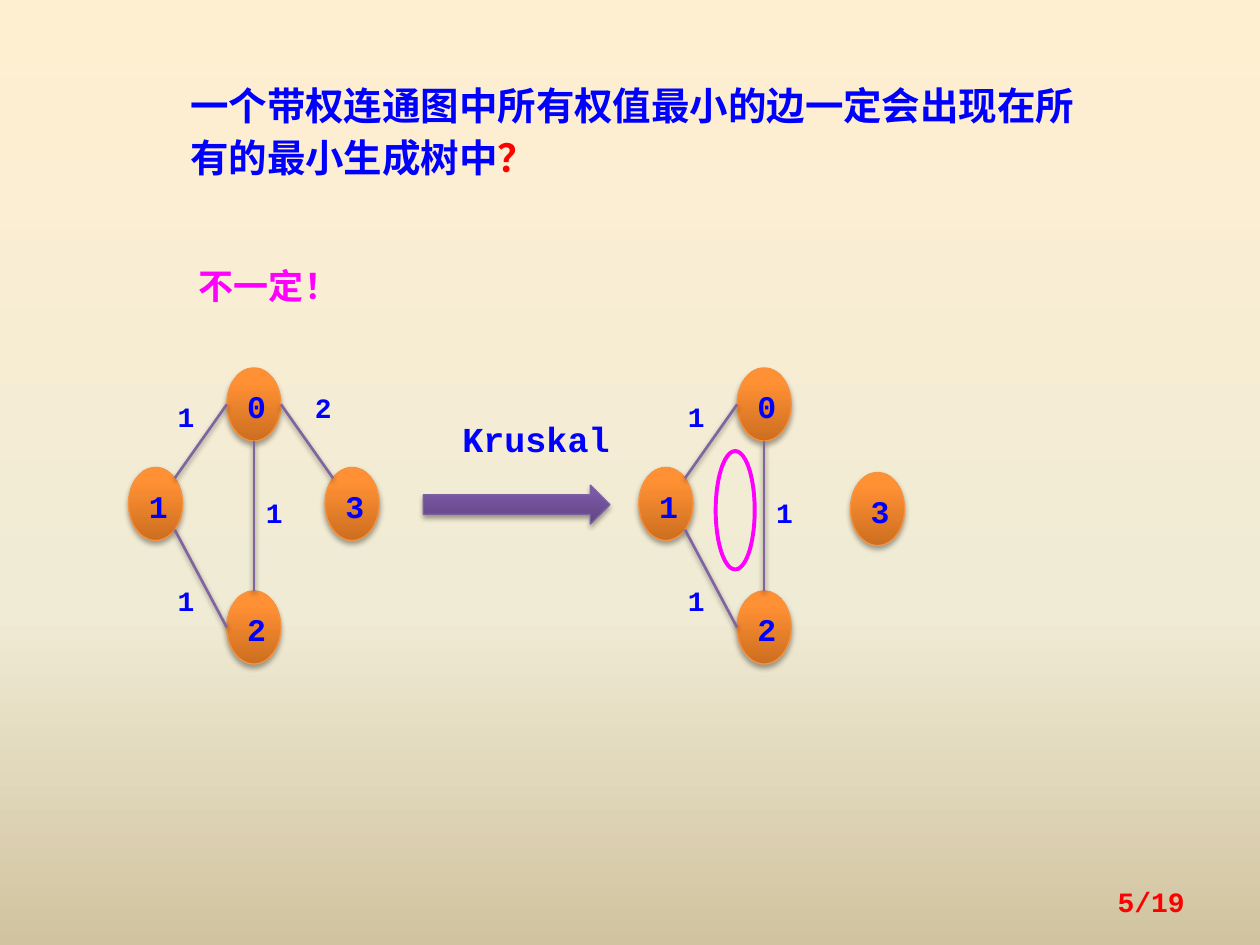
"""Build a slide showing that a minimum spanning tree may omit a minimum-weight edge."""
import copy
import math

import pptx
import pptx.dml.color
import pptx.enum.shapes
import pptx.enum.text
import pptx.oxml
import pptx.oxml.ns
import pptx.util

RGBColor = pptx.dml.color.RGBColor
Inches = pptx.util.Inches
Pt = pptx.util.Pt
MSO_SHAPE = pptx.enum.shapes.MSO_SHAPE
PP_ALIGN = pptx.enum.text.PP_ALIGN
MSO_ANCHOR = pptx.enum.text.MSO_ANCHOR

BLUE = RGBColor(0x00, 0x00, 0xFF)
RED = RGBColor(0xFF, 0x00, 0x00)
MAGENTA = RGBColor(0xFF, 0x00, 0xFF)
EDGE_PURPLE = RGBColor(0x80, 0x64, 0xA2)
ARROW_LINE = RGBColor(0x7D, 0x60, 0xA0)
NODE_LINE = RGBColor(0xF6, 0x92, 0x40)
SAND = [(0, RGBColor(0xFF, 0xEF, 0xD1)), (0.65, RGBColor(0xF0, 0xEB, 0xD5)),
        (1, RGBColor(0xD1, 0xC3, 0x9F))]
ORANGE = [(0, RGBColor(0xCC, 0x6E, 0x20)), (0.8, RGBColor(0xFF, 0x90, 0x34)),
          (1, RGBColor(0xFF, 0x91, 0x36))]
PURPLE = [(0, RGBColor(0x5F, 0x44, 0x80)), (0.8, RGBColor(0x7B, 0x58, 0xA6)),
          (1, RGBColor(0x7C, 0x57, 0xA8))]


def write(frame, text, size=16, color=BLUE, align=PP_ALIGN.LEFT, spacing=Pt(30),
          anchor=MSO_ANCHOR.TOP, margin=None, grow=True):
    frame.word_wrap = True
    frame.vertical_anchor = anchor
    if grow:
        frame.auto_size = pptx.enum.text.MSO_AUTO_SIZE.SHAPE_TO_FIT_TEXT
    if margin is not None:
        frame.margin_left = frame.margin_right = margin
        frame.margin_top = frame.margin_bottom = margin
    paragraph = frame.paragraphs[0]
    paragraph.alignment = align
    paragraph.line_spacing = spacing
    run = paragraph.add_run()
    run.text = text
    run.font.name = "Courier New"
    run.font.size = Pt(size)
    run.font.bold = True
    run.font.color.rgb = color


def shade(fill, element, stops, angle):
    fill.gradient()
    fill.gradient_angle = angle
    stop_list = element.find(".//" + pptx.oxml.ns.qn("a:gsLst"))
    stop_list.append(copy.deepcopy(stop_list[-1]))
    for stop, (position, color) in zip(fill.gradient_stops, stops):
        stop.position = position
        stop.color.rgb = color


deck = pptx.Presentation()
deck.slide_width, deck.slide_height = Inches(10), Inches(7.5)
slide = deck.slides.add_slide(deck.slide_layouts[5])
shapes = slide.shapes
shade(slide.background.fill, slide.element, SAND, 270)

question = shapes.title
question.left, question.top = Inches(1.41), Inches(0.55)
question.width, question.height = Inches(7.5), Inches(0.94)
write(question.text_frame, "一个带权连通图中所有权值最小的边一定会出现在所有的最小生成树中", size=22)
write(question.text_frame, "？", size=22, color=RED)

answer = shapes.add_textbox(Inches(1.48), Inches(1.97), Inches(1.72), Inches(0.52))
write(answer.text_frame, "不一定！", size=20, color=MAGENTA)

COLUMN = 0.78
NODE_W, NODE_H = 0.43, 0.58
ROWS = {"top": 2.92, "middle": 3.71, "bottom": 4.69}
NEAR = 0.5 - math.sqrt(0.125)
FAR = 1 - NEAR
NODES = {"1": (0, "middle"), "2": (1, "bottom"), "0": (1, "top"), "3": (2, "middle")}
EDGES = [
    ("0", (0, 0.5), "1", (FAR, NEAR), "1", (0.39, 3.02)),
    ("1", (FAR, FAR), "2", (0, 0.5), "1", (0.39, 4.48)),
    ("0", (0.5, 1), "2", (0.5, 0), "1", (1.09, 3.78)),
    ("0", (1, 0.5), "3", (NEAR, NEAR), "2", (1.48, 2.95)),
]
GRAPHS = [(1.02, {}, EDGES), (5.07, {"3": (6.75, 3.75)}, EDGES[:3])]
shadowed = []

for graph_left, moved, edges in GRAPHS:
    corners = {name: (graph_left + column * COLUMN, ROWS[row])
               for name, (column, row) in NODES.items()}
    corners.update(moved)
    for name, (left, top) in corners.items():
        node = shapes.add_shape(MSO_SHAPE.OVAL, Inches(left), Inches(top),
                                Inches(NODE_W), Inches(NODE_H))
        shade(node.fill, node.element, ORANGE, 90)
        node.line.color.rgb = NODE_LINE
        node.line.width = Pt(0.75)
        write(node.text_frame, name, size=18, align=PP_ALIGN.CENTER, spacing=1.1,
              anchor=MSO_ANCHOR.MIDDLE, grow=False)
        shadowed.append((node, 1.8, 35))
    for start, leave, end, arrive, weight, (label_x, label_y) in edges:
        ends = [Inches(corners[name][axis] + share[axis] * (NODE_W, NODE_H)[axis])
                for name, share in ((start, leave), (end, arrive)) for axis in (0, 1)]
        edge = shapes.add_connector(pptx.enum.shapes.MSO_CONNECTOR.STRAIGHT, *ends)
        edge.line.color.rgb = EDGE_PURPLE
        edge.line.width = Pt(1.5)
        shadowed.append((edge, 1.6, 38))
        label = shapes.add_textbox(Inches(graph_left + label_x), Inches(label_y),
                                   Inches(0.16), Inches(0.42))
        write(label.text_frame, weight, margin=0)

step = shapes.add_shape(MSO_SHAPE.RIGHT_ARROW, Inches(3.36), Inches(3.85),
                        Inches(1.48), Inches(0.31))
shade(step.fill, step.element, PURPLE, 90)
step.line.color.rgb = ARROW_LINE
step.line.width = Pt(0.75)
shadowed.append((step, 1.8, 35))

algorithm = shapes.add_textbox(Inches(3.67), Inches(3.23), Inches(1.25), Inches(0.42))
write(algorithm.text_frame, "Kruskal", size=20, margin=0)

cycle = shapes.add_shape(MSO_SHAPE.OVAL, Inches(5.68), Inches(3.58),
                         Inches(0.31), Inches(0.94))
cycle.shadow.inherit = False
cycle.fill.background()
cycle.line.color.rgb = MAGENTA
cycle.line.width = Pt(2.25)

page = shapes.add_textbox(Inches(7.17), Inches(6.95), Inches(2.33), Inches(0.4))
write(page.text_frame, "5/19", color=RED, align=PP_ALIGN.RIGHT, spacing=1.0,
      anchor=MSO_ANCHOR.MIDDLE, grow=False)

for caster, distance, opacity in shadowed:
    caster.element.spPr.append(pptx.oxml.parse_xml(
        f'<a:effectLst {pptx.oxml.ns.nsdecls("a")}>'
        f'<a:outerShdw blurRad="{Pt(3.1)}" dist="{Pt(distance)}" dir="5400000" rotWithShape="0">'
        f'<a:srgbClr val="000000"><a:alpha val="{opacity * 1000}"/></a:srgbClr>'
        '</a:outerShdw></a:effectLst>'))

deck.save("out.pptx")
